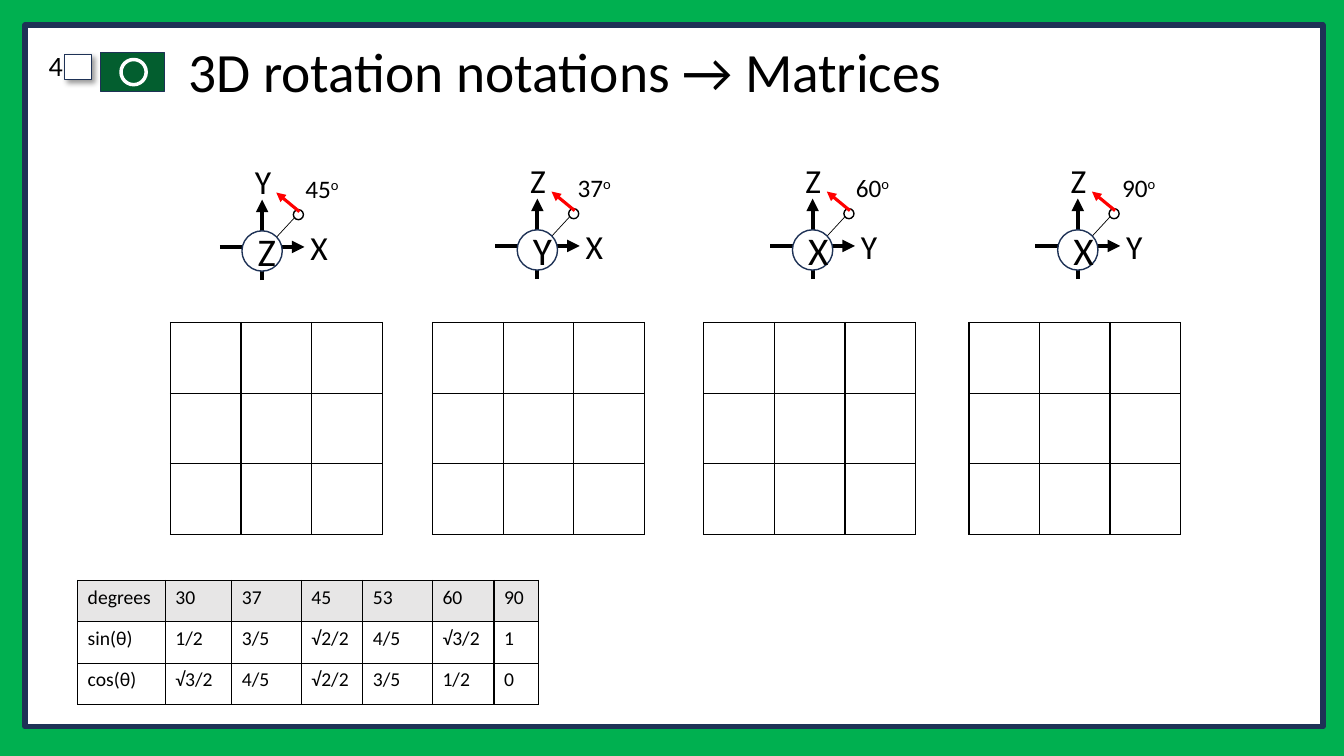
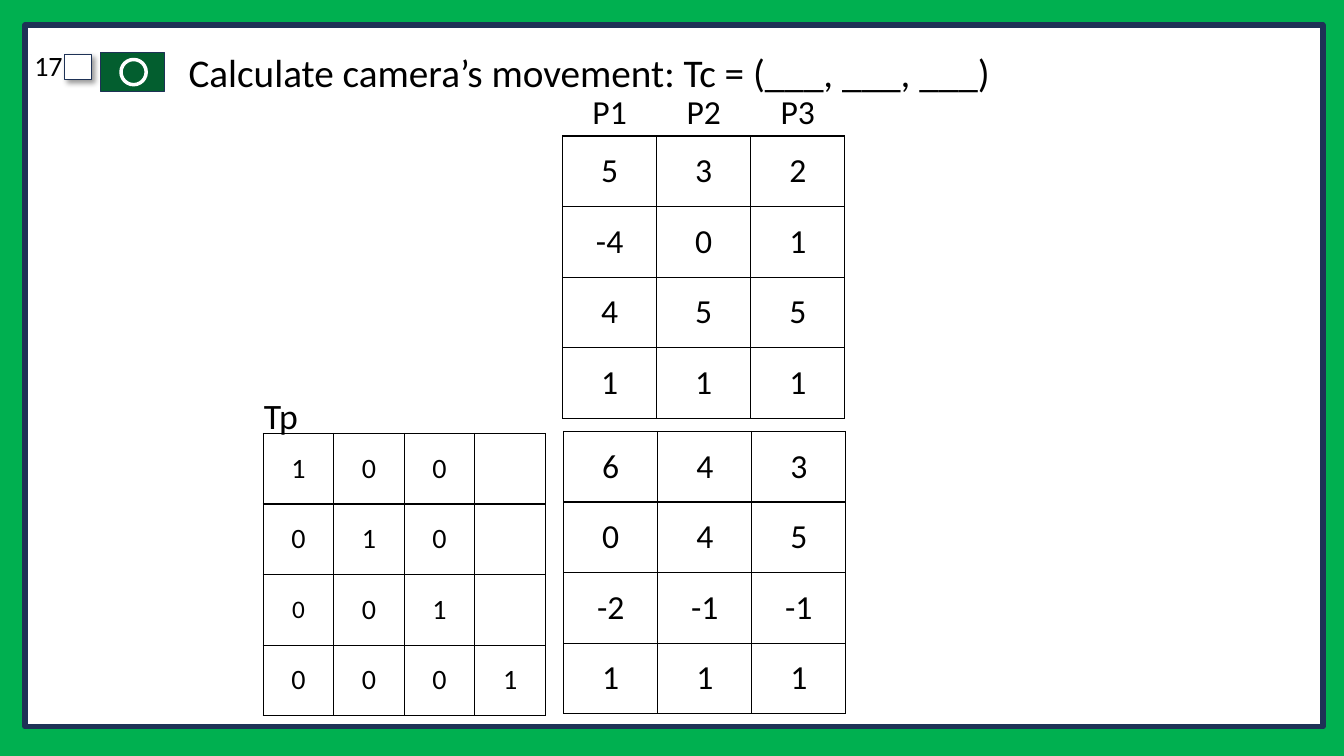
from dataclasses import dataclass

from lxml.etree import SubElement
from pptx import Presentation
from pptx.dml.color import RGBColor
from pptx.enum.shapes import MSO_CONNECTOR, MSO_SHAPE, PP_PLACEHOLDER
from pptx.enum.text import MSO_ANCHOR, MSO_AUTO_SIZE, PP_ALIGN
from pptx.oxml.ns import qn
from pptx.util import Inches, Pt


@dataclass(frozen=True)
class Theme:
    font: str = "Calibri"
    ink: str = "000000"
    paper: str = "FFFFFF"
    backdrop: str = "00B050"
    navy: str = "1E3256"
    badge: str = "035E2F"
    turn: str = "FF0000"
    header: str = "E7E6E6"
    title: float = 39.6
    long_title: float = 28
    hub: float = 28
    matrix: float = 24
    number: float = 20
    angle: float = 18
    lookup: float = 14
    subscript: float = 44


THEME = Theme()


def rgb(code):
    return RGBColor.from_string(code)


def write(frame, text, *, size, align=None, spacing=None, before=None,
          baseline=0, raised=""):
    paragraph = frame.paragraphs[0]
    if align is not None:
        paragraph.alignment = align
    if spacing is not None:
        paragraph.line_spacing = spacing
    if before is not None:
        paragraph.space_before = Pt(before)
    for part, shift in ((text, baseline), (raised, 30)):
        if not part:
            continue
        run = paragraph.add_run()
        run.text = part
        run.font.name = THEME.font
        run.font.size = Pt(size)
        run.font.color.rgb = rgb(THEME.ink)
        if shift:
            run.font._element.set("baseline", str(shift * 1000))


class Deck:
    def __init__(self, theme):
        self.theme = theme
        self.presentation = Presentation()
        self.presentation.slide_width = Inches(13.33)
        self.presentation.slide_height = Inches(7.5)
        backdrop = self.presentation.slide_master.background.fill
        backdrop.solid()
        backdrop.fore_color.rgb = rgb(theme.backdrop)
        self.layout = self.presentation.slide_layouts[5]
        for holder in list(self.layout.placeholders):
            if holder.placeholder_format.type != PP_PLACEHOLDER.TITLE:
                holder.element.getparent().remove(holder.element)
        self.slide = None

    def page(self, title, number, size):
        self.slide = self.presentation.slides.add_slide(self.layout)
        if len(self.presentation.slides) == 1:
            self.build_frame()
        self.title(title, size)
        self.text(number, 0, 0.47, 0.72, 0.45, grow=False,
                  size=self.theme.number, align=PP_ALIGN.RIGHT,
                  spacing=0.9, before=10)

    def build_frame(self):
        theme = self.theme
        panel = self.shape(MSO_SHAPE.RECTANGLE, 0.25, 0.25, 12.87, 6.96,
                           line=theme.navy, weight=4)
        checkbox = self.shape(MSO_SHAPE.RECTANGLE, 0.64, 0.54, 0.27, 0.25,
                              line=theme.navy)
        badge = self.shape(MSO_SHAPE.RECTANGLE, 1, 0.52, 0.63, 0.39,
                           fill=theme.badge, line=theme.navy)
        ring = self.shape(MSO_SHAPE.OVAL, 1.2, 0.59, 0.25, 0.25,
                          fill=theme.badge, line=theme.paper, weight=2.5)
        effects = checkbox.element.spPr.find(qn("a:effectLst"))
        shadow = SubElement(effects, qn("a:outerShdw"), blurRad=str(Pt(4)),
                            dist=str(Pt(3)), dir="2700000", algn="tl")
        color = SubElement(shadow, qn("a:srgbClr"), val=theme.ink)
        SubElement(color, qn("a:alpha"), val="40000")
        for place, part in enumerate((panel, checkbox, badge, ring), start=2):
            self.layout.shapes.element.insert(place, part.element)

    def title(self, text, size):
        heading = self.slide.shapes.title
        heading.left, heading.top = Inches(1.77), Inches(0.4)
        heading.width, heading.height = Inches(10.65), Inches(0.68)
        frame = heading.text_frame
        frame.auto_size = MSO_AUTO_SIZE.NONE
        frame.vertical_anchor = MSO_ANCHOR.MIDDLE
        write(frame, text, size=size, align=PP_ALIGN.LEFT, spacing=0.9)

    def text(self, text, left, top, width, height, grow=True, **style):
        box = self.slide.shapes.add_textbox(
            Inches(left), Inches(top), Inches(width), Inches(height))
        frame = box.text_frame
        frame.word_wrap = True
        if grow:
            frame.auto_size = MSO_AUTO_SIZE.SHAPE_TO_FIT_TEXT
        write(frame, text, **style)

    def shape(self, preset, left, top, width, height, fill=THEME.paper,
              line=THEME.ink, weight=1, into=None):
        shape = (into or self.slide).shapes.add_shape(
            preset, Inches(left), Inches(top), Inches(width), Inches(height))
        shape.shadow.inherit = False
        shape.fill.solid()
        shape.fill.fore_color.rgb = rgb(fill)
        shape.line.color.rgb = rgb(line)
        shape.line.width = Pt(weight)
        return shape

    def line(self, start, end, color=THEME.ink, weight=3, arrow=True, into=None):
        line = (into or self.slide).shapes.add_connector(
            MSO_CONNECTOR.STRAIGHT, *(Inches(value) for value in (*start, *end)))
        line.line.color.rgb = rgb(color)
        line.line.width = Pt(weight)
        if arrow:
            SubElement(line.line._get_or_add_ln(), qn("a:tailEnd"), type="triangle")
        SubElement(line.element.spPr, qn("a:effectLst"))

    def table(self, rows, left, top, widths, height, size, centred=True,
              border=True, header=None):
        table = self.slide.shapes.add_table(
            len(rows), len(widths), Inches(left), Inches(top),
            Inches(sum(widths)), Inches(height * len(rows))).table
        table.first_row = table.horz_banding = False
        for column, width in zip(table.columns, widths):
            column.width = Inches(width)
        for row_index, values in enumerate(rows):
            table.rows[row_index].height = Inches(height)
            for column_index, value in enumerate(values):
                cell = table.cell(row_index, column_index)
                self.cell_border(cell, border)
                if header and row_index == 0:
                    cell.fill.solid()
                    cell.fill.fore_color.rgb = rgb(header)
                else:
                    cell.fill.background()
                if centred:
                    cell.vertical_anchor = MSO_ANCHOR.MIDDLE
                write(cell.text_frame, value, size=size,
                      align=PP_ALIGN.CENTER if centred else None)
        return table

    def cell_border(self, cell, visible):
        properties = cell._tc.get_or_add_tcPr()
        for side in ("lnL", "lnR", "lnT", "lnB"):
            edge = SubElement(properties, qn(f"a:{side}"), w=str(Pt(1)))
            if visible:
                fill = SubElement(edge, qn("a:solidFill"))
                SubElement(fill, qn("a:srgbClr"), val=self.theme.ink)
            else:
                SubElement(edge, qn("a:noFill"))

    def dial(self, x, y, hub, across, up, angle, angle_left):
        theme = self.theme

        def at(dx, dy):
            return x + dx, y + dy

        axes = self.slide.shapes.add_group_shape()
        self.line(at(-0.03, 0.05), at(0.33, -0.34), weight=0.5,
                  arrow=False, into=axes)
        self.line(at(0, 0.29), at(0, -0.51), into=axes)
        self.line(at(-0.42, -0.04), at(0.42, -0.04), into=axes)
        self.shape(MSO_SHAPE.OVAL, *at(0.31, -0.41), 0.1, 0.1, into=axes)
        centre = self.shape(MSO_SHAPE.OVAL, *at(-0.2, -0.2), 0.4, 0.4,
                            line=theme.navy)
        centre.text_frame.vertical_anchor = MSO_ANCHOR.MIDDLE
        write(centre.text_frame, hub, size=theme.hub, align=PP_ALIGN.CENTER)
        self.line(at(0.37, -0.39), at(0.14, -0.58), color=theme.turn, weight=2.25)
        self.text(across, *at(0.38, -0.29), 0.39, 0.5, size=theme.matrix)
        self.text(up, *at(-0.17, -0.94), 0.39, 0.5, size=theme.matrix)
        self.text(angle, angle_left, y - 0.82, 0.59, 0.4,
                  size=theme.angle, raised="o")


def rotation_slide(deck):
    deck.page("3D rotation notations → Matrices", "4", THEME.title)
    rotations = (
        (2.6, 2.49, "Z", "X", "Y", "45", 2.93, 1.69),
        (5.33, 2.48, "Y", "X", "Z", "37", 5.63, 4.29),
        (8.06, 2.48, "X", "Y", "Z", "60", 8.39, 6.98),
        (10.69, 2.48, "X", "Y", "Z", "90", 11.03, 9.61),
    )
    for *dial, matrix_left in rotations:
        deck.dial(*dial)
        deck.table([[""] * 3] * 3, matrix_left, 3.2, [0.7] * 3, 0.7, THEME.matrix)
    sines = (
        ("degrees", "30", "37", "45", "53", "60", "90"),
        ("sin(θ)", "1/2", "3/5", "√2/2", "4/5", "√3/2", "1"),
        ("cos(θ)", "√3/2", "4/5", "√2/2", "3/5", "1/2", "0"),
    )
    deck.table(sines, 0.77, 5.76, (0.87, 0.66, 0.69, 0.61, 0.69, 0.61, 0.44),
               0.41, THEME.lookup, centred=False, header=THEME.header)


def camera_slide(deck):
    deck.page("Calculate camera’s movement: Tc = (___, ___, ___)", "17",
              THEME.long_title)
    translation = (
        ("1", "0", "0", ""),
        ("0", "1", "0", ""),
        ("0", "0", "1", ""),
        ("0", "0", "0", "1"),
    )
    points_before = (
        ("5", "3", "2"),
        ("-4", "0", "1"),
        ("4", "5", "5"),
        ("1", "1", "1"),
    )
    points_after = (
        ("6", "4", "3"),
        ("0", "4", "5"),
        ("-2", "-1", "-1"),
        ("1", "1", "1"),
    )
    point_widths = [2.8 / 3] * 3
    matrix = deck.table(translation, 2.61, 4.3, [0.7] * 4, 0.7, THEME.number)
    small_zero = matrix.cell(2, 0).text_frame.paragraphs[0].runs[0]
    small_zero.font.size = Pt(THEME.angle)
    deck.table(points_before, 5.58, 1.35, point_widths, 0.7, THEME.matrix)
    deck.text("Tp", 2.52, 3.45, 1.27, 0.59, size=THEME.subscript, baseline=-25)
    deck.table(points_after, 5.59, 4.28, point_widths, 0.7, THEME.matrix)
    deck.table([("P1", "P2", "P3")], 5.58, 0.87, point_widths, 0.5,
               THEME.matrix, border=False)


def main():
    deck = Deck(THEME)
    rotation_slide(deck)
    camera_slide(deck)
    deck.presentation.save("out.pptx")


if __name__ == "__main__":
    main()
